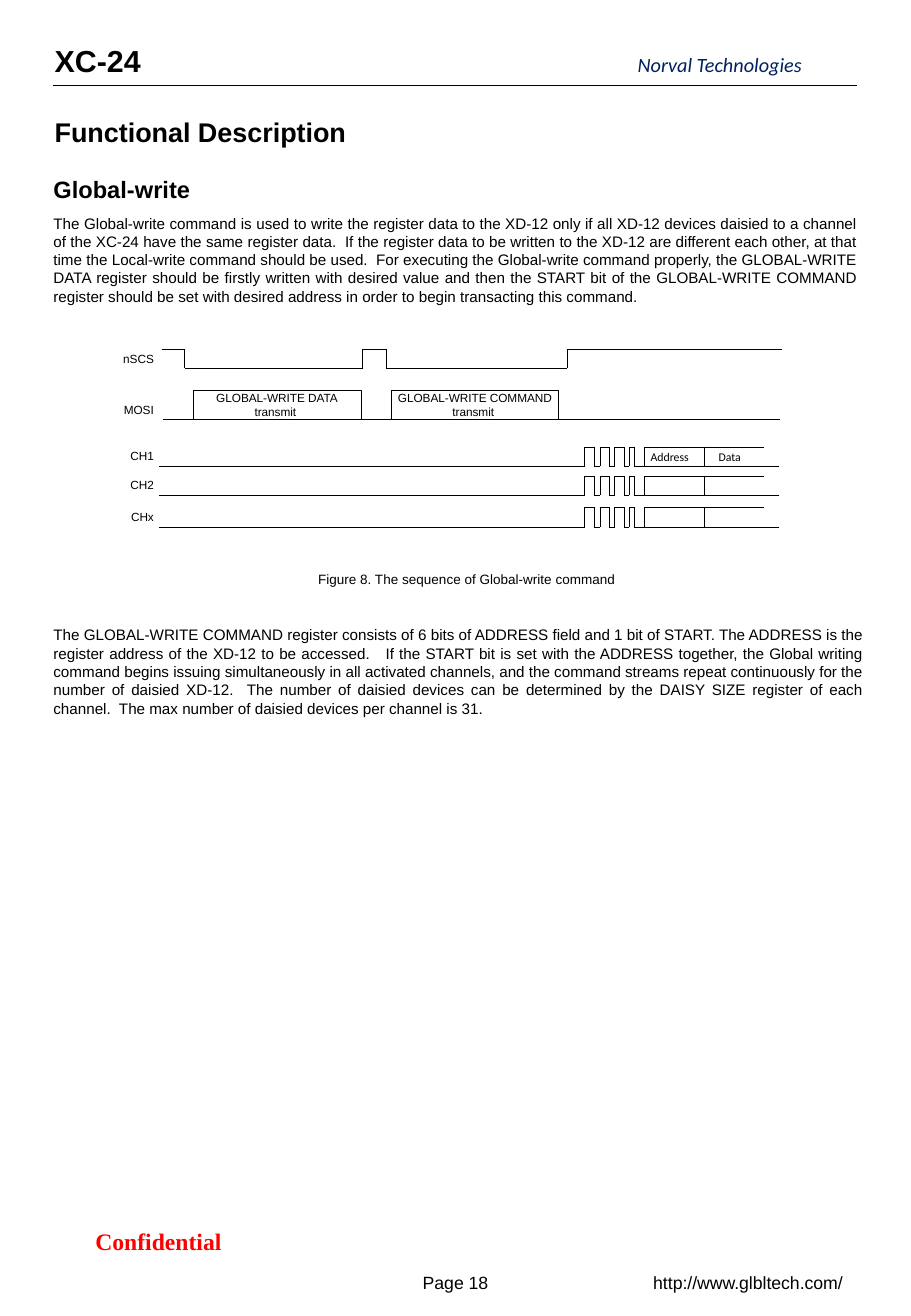
from dataclasses import dataclass
from itertools import pairwise

from lxml.etree import SubElement
from pptx import Presentation
from pptx.dml.color import RGBColor
from pptx.enum.shapes import MSO_CONNECTOR as Connector, MSO_SHAPE as Shape
from pptx.enum.text import MSO_ANCHOR as Anchor, PP_ALIGN as Align
from pptx.oxml.ns import qn
from pptx.util import Pt


@dataclass(frozen=True)
class Style:
    size: float
    font: str = "Arial"
    color: str = "000000"
    bold: bool = False
    italic: bool = False
    align: Align = Align.LEFT
    anchor: Anchor = Anchor.TOP


@dataclass(frozen=True)
class Theme:
    ink = RGBColor.from_string("000000")
    rule = 0.5
    signal = 0.25
    product = Style(18, bold=True)
    company = Style(12, "Calibri", "002060", italic=True)
    title = Style(16, bold=True)
    section = Style(14, bold=True)
    body = Style(9, align=Align.JUSTIFY)
    caption = Style(8)
    signal_name = Style(7, align=Align.RIGHT, anchor=Anchor.MIDDLE)
    packet = Style(7, align=Align.CENTER, anchor=Anchor.MIDDLE)
    field = Style(7, "Calibri")
    footer = Style(10.5, align=Align.CENTER, anchor=Anchor.MIDDLE)
    notice = Style(14, "Times New Roman", "FF0000", bold=True,
                   align=Align.CENTER, anchor=Anchor.MIDDLE)


THEME = Theme()

INTRODUCTION = (
    "The Global-write command is used to write the register data to the XD-12 only if all XD-12 "
    "devices daisied to a channel of the XC-24 have the same register data.  If the register data "
    "to be written to the XD-12 are different each other, at that time the Local-write command "
    "should be used.  For executing the Global-write command properly, the GLOBAL-WRITE DATA "
    "register should be firstly written with desired value and then the START bit of the "
    "GLOBAL-WRITE COMMAND register should be set with desired address in order to begin "
    "transacting this command."
)
EXPLANATION = (
    "The GLOBAL-WRITE COMMAND register consists of 6 bits of ADDRESS field and 1 bit of START. "
    "The ADDRESS is the register address of the XD-12 to be accessed.   If the START bit is set "
    "with the ADDRESS together, the Global writing command begins issuing simultaneously in all "
    "activated channels, and the command streams repeat continuously for the number of daisied "
    "XD-12.  The number of daisied devices can be determined by the DAISY SIZE register of each "
    "channel.  The max number of daisied devices per channel is 31."
)

# text, (left, top, width, height), style
TEXTS = [
    ("XC-24", (32.4, 25.2, 70, 22), THEME.product),
    ("Norval Technologies", (378, 31, 116, 15), THEME.company),
    ("Functional Description", (32.4, 68.4, 468, 20), THEME.title),
    ("Global-write", (31.7, 103.7, 468, 18), THEME.section),
    (INTRODUCTION, (31.7, 126.7, 476, 55), THEME.body),
    ("Figure 8. The sequence of Global-write command", (188.6, 338.4, 186, 10), THEME.caption),
    (EXPLANATION, (31.7, 370.8, 479.5, 55), THEME.body),
    ("Address", (385.7, 266.2, 30, 9), THEME.field),
    ("Data", (426, 266.2, 22, 9), THEME.field),
    ("Confidential", (24.5, 722.9, 139, 24.5), THEME.notice),
    ("Page 18", (236.2, 747.4, 67.7, 24.5), THEME.footer),
    ("http://www.glbltech.com/", (375.8, 747.4, 135.4, 24.5), THEME.footer),
]

HEADER_RULE = [(31.7, 50.4), (508.3, 50.4)]
SWING = 11.5  # height from low to high level

SELECT_LOW = 218.2
SELECT_EDGES = [109.4, 215, 229, 336.2]
SELECT_ENDS = (95.8, 463.7)

DATA_LOW = 248.4
DATA_ENDS = (96.5, 462.2)
PACKET_SIZE = (99.4, 17.2)
PACKETS = [(114.5, "GLOBAL-WRITE DATA\ntransmit "),
           (231.8, "GLOBAL-WRITE COMMAND\ntransmit ")]

CHANNELS = [("CH1", 276.2), ("CH2", 293.4), ("CHx", 312.2)]
CHANNEL_ENDS = (94.3, 461.8)
PULSE_EDGES = [346.6, 352.1, 355.5, 360.9, 364.3, 370, 373, 375.8]
FRAME_LEFT, FRAME_SPLIT, FRAME_RIGHT = 381.6, 417.6, 453.1

NAME_RIGHT, NAME_WIDTH, NAME_HEIGHT = 91.2, 30, 10


def write(shape, text, style):
    frame = shape.text_frame
    frame.text = text
    frame.word_wrap = True
    frame.vertical_anchor = style.anchor
    frame.margin_left = frame.margin_right = frame.margin_top = frame.margin_bottom = 0
    for paragraph in frame.paragraphs:
        paragraph.alignment = style.align
        for run in paragraph.runs:
            font = run.font
            font.name, font.size = style.font, Pt(style.size)
            font.bold, font.italic = style.bold, style.italic
            font.color.rgb = RGBColor.from_string(style.color)


def add_text(slide, text, box, style):
    write(slide.shapes.add_textbox(*map(Pt, box)), text, style)


def trace(slide, points, weight=THEME.signal):
    """Join successive points with straight lines."""
    for start, end in pairwise(points):
        line = slide.shapes.add_connector(Connector.STRAIGHT, *map(Pt, start + end))
        line.line.color.rgb = THEME.ink
        line.line.width = Pt(weight)
        SubElement(line._element.spPr, qn("a:effectLst"))


def square_wave(ends, edges, low, starts_high=False):
    """Return the corners of a signal that changes level at each edge."""
    levels = (low - SWING, low) if starts_high else (low, low - SWING)
    points = [(ends[0], levels[0])]
    for index, x in enumerate(edges):
        points += [(x, levels[index % 2]), (x, levels[(index + 1) % 2])]
    return points + [(ends[1], levels[len(edges) % 2])]


def add_signal_name(slide, name, middle):
    box = (NAME_RIGHT - NAME_WIDTH, middle - NAME_HEIGHT / 2, NAME_WIDTH, NAME_HEIGHT)
    add_text(slide, name, box, THEME.signal_name)


def add_packet(slide, left, text):
    width, height = PACKET_SIZE
    packet = slide.shapes.add_shape(
        Shape.RECTANGLE, *map(Pt, (left, DATA_LOW - height, width, height)))
    packet.shadow.inherit = False
    packet.fill.background()
    packet.line.color.rgb = THEME.ink
    packet.line.width = Pt(THEME.signal)
    write(packet, text, THEME.packet)


def add_channel(slide, name, low):
    high = low - SWING
    add_signal_name(slide, name, low - 6)
    trace(slide, square_wave(CHANNEL_ENDS, PULSE_EDGES, low))
    trace(slide, [(FRAME_LEFT, low), (FRAME_LEFT, high), (FRAME_RIGHT, high)])
    trace(slide, [(FRAME_SPLIT, high), (FRAME_SPLIT, low)])


def main():
    presentation = Presentation()
    presentation.slide_width, presentation.slide_height = Pt(540), Pt(779.76)
    slide = presentation.slides.add_slide(presentation.slide_layouts[6])

    trace(slide, HEADER_RULE, THEME.rule)
    add_signal_name(slide, "nSCS", SELECT_LOW - 5.8)
    trace(slide, square_wave(SELECT_ENDS, SELECT_EDGES, SELECT_LOW, starts_high=True))
    add_signal_name(slide, "MOSI", DATA_LOW - 5.8)
    trace(slide, [(x, DATA_LOW) for x in DATA_ENDS])
    for left, text in PACKETS:
        add_packet(slide, left, text)
    for name, low in CHANNELS:
        add_channel(slide, name, low)
    for text, box, style in TEXTS:
        add_text(slide, text, box, style)

    presentation.save("out.pptx")


if __name__ == "__main__":
    main()
